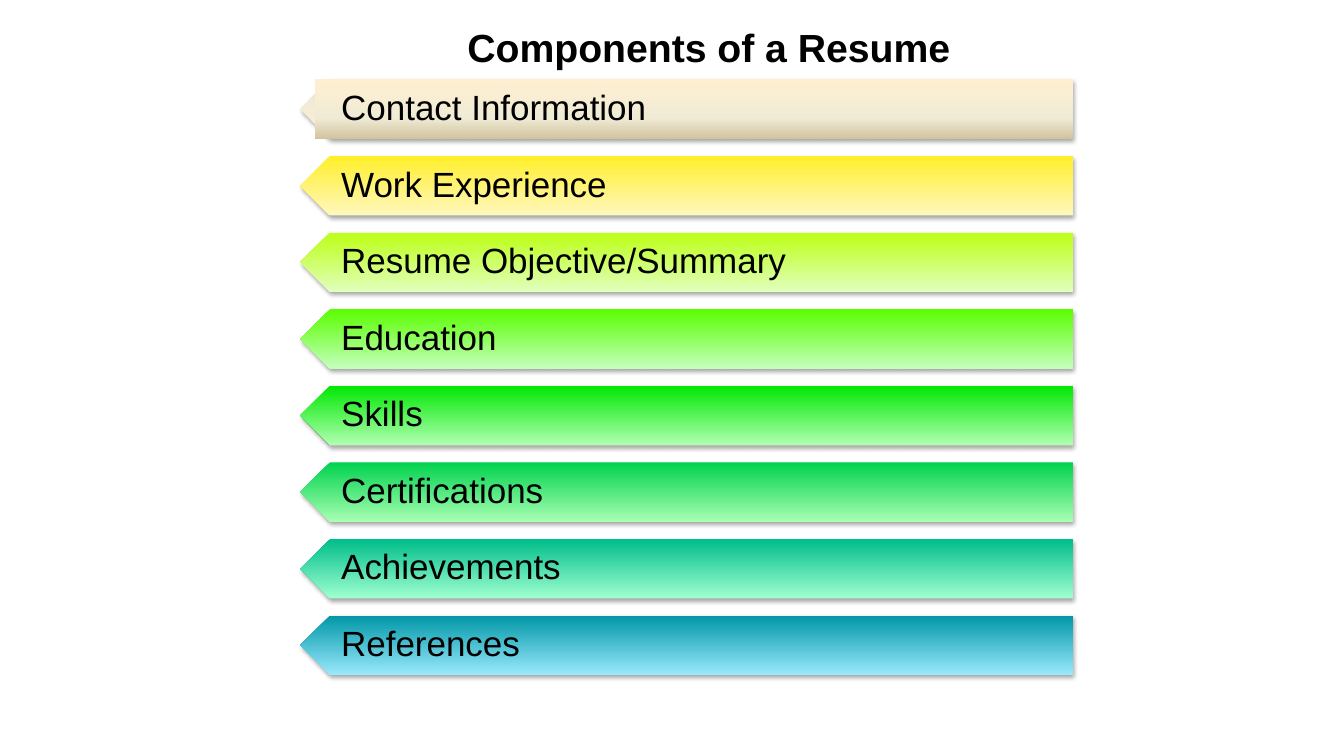
from dataclasses import dataclass

from pptx import Presentation
from pptx.dml.color import RGBColor
from pptx.enum.shapes import MSO_SHAPE as Preset
from pptx.enum.text import MSO_ANCHOR as Anchor, MSO_AUTO_SIZE as AutoSize, PP_ALIGN as Align
from pptx.oxml.ns import qn
from pptx.oxml.xmlchemy import OxmlElement
from pptx.shapes.autoshape import Shape
from pptx.slide import Slide
from pptx.util import Cm, Pt

COLORS = {
    "text": "000000",
    "shadow": "000000",
    "cream": "FFEFD1", "sand": "F0EBD5", "tan": "D1C39F",
    "yellow": "FFEF2A", "pale yellow": "FFF7BE",
    "lime": "BCFF15", "pale lime": "E1FFBD",
    "bright green": "5AFE00", "pale bright green": "C4FFBC",
    "green": "00E802", "pale green": "B2FFB2",
    "emerald": "00D24E", "pale emerald": "A8FFB2",
    "jade": "00BD8A", "pale jade": "9FFFD0",
    "teal": "0097A7", "pale teal": "99E9FC",
}
FONT = "Arial"
FIRST_TOP, PITCH, HEIGHT = 2.0, 1.93, 1.5
ARROW_LEFT, ARROW_WIDTH = 7.57, 19.48
LABEL_LEFT, LABEL_WIDTH = 7.94, 19.1
DOWNWARD, UPWARD = 270, 90


@dataclass(frozen=True)
class Banner:
    label: str
    stops: dict[int, str]
    angle: int = UPWARD
    filled_label: bool = False


BANNERS = [
    Banner("Contact Information", {0: "cream", 65: "sand", 100: "tan"}, DOWNWARD, True),
    Banner("Work Experience", {0: "yellow", 100: "pale yellow"}),
    Banner("Resume Objective/Summary", {0: "lime", 100: "pale lime"}),
    Banner("Education", {0: "bright green", 100: "pale bright green"}),
    Banner("Skills", {0: "green", 100: "pale green"}),
    Banner("Certifications", {0: "emerald", 100: "pale emerald"}),
    Banner("Achievements", {0: "jade", 100: "pale jade"}),
    Banner("References", {0: "teal", 100: "pale teal"}),
]


def write_text(box: Shape, text: str, *, size: float, bold: bool = False,
               anchor: Anchor = Anchor.TOP, spacing: float = 1.0,
               insets: tuple[float, float, float, float] = (0.25, 0.13, 0.25, 0.13)) -> None:
    frame = box.text_frame
    frame.word_wrap = True
    frame.auto_size = AutoSize.NONE
    frame.vertical_anchor = anchor
    frame.margin_left, frame.margin_top, frame.margin_right, frame.margin_bottom = map(Cm, insets)
    para = frame.paragraphs[0]
    para.alignment = Align.LEFT
    para.line_spacing = spacing
    span = para.add_run()
    span.text = text
    span.font.name = FONT
    span.font.size = Pt(size)
    span.font.bold = bold
    span.font.color.rgb = RGBColor.from_string(COLORS["text"])


def paint_gradient(shape: Shape, banner: Banner) -> None:
    shape.fill.gradient()
    shape.fill.gradient_angle = banner.angle
    stop_list = shape.element.spPr.find(qn("a:gradFill")).find(qn("a:gsLst"))
    for old_stop in list(stop_list):
        stop_list.remove(old_stop)
    for position, name in banner.stops.items():
        stop = OxmlElement("a:gs")
        stop.set("pos", str(position * 1000))
        color = OxmlElement("a:srgbClr")
        color.set("val", COLORS[name])
        stop.append(color)
        stop_list.append(stop)


def cast_shadow(shape: Shape) -> None:
    shape.shadow.inherit = False
    shadow = OxmlElement("a:outerShdw")
    settings = {"blurRad": Pt(3.1), "dist": Pt(1.8), "dir": 90 * 60000, "rotWithShape": 0}
    for key, value in settings.items():
        shadow.set(key, str(int(value)))
    color = OxmlElement("a:srgbClr")
    color.set("val", COLORS["shadow"])
    alpha = OxmlElement("a:alpha")
    alpha.set("val", "35000")
    color.append(alpha)
    shadow.append(color)
    shape.element.spPr.find(qn("a:effectLst")).append(shadow)


def draw_banner(page: Slide, banner: Banner, top: float) -> None:
    group = page.shapes.add_group_shape()
    arrow = group.shapes.add_shape(Preset.PENTAGON, Cm(ARROW_LEFT), Cm(top), Cm(ARROW_WIDTH), Cm(HEIGHT))
    arrow.rotation = 180
    arrow.line.fill.background()
    paint_gradient(arrow, banner)
    cast_shadow(arrow)
    label = group.shapes.add_textbox(Cm(LABEL_LEFT), Cm(top), Cm(LABEL_WIDTH), Cm(HEIGHT))
    if banner.filled_label:
        paint_gradient(label, banner)
    write_text(label, banner.label, size=25, anchor=Anchor.MIDDLE, spacing=0.9,
               insets=(0.66, 0.25, 0.48, 0.25))


def main() -> None:
    deck = Presentation()
    deck.slide_width, deck.slide_height = Cm(33.87), Cm(19.05)
    page = deck.slides.add_slide(deck.slide_layouts.get_by_name("Title Only"))
    for row, banner in enumerate(BANNERS):
        draw_banner(page, banner, FIRST_TOP + row * PITCH)
    title = page.shapes.title
    title.left, title.top, title.width, title.height = Cm(11.53), Cm(0.46), Cm(13.28), Cm(1.27)
    write_text(title, "Components of a Resume", size=28, bold=True)
    deck.save("out.pptx")


if __name__ == "__main__":
    main()
